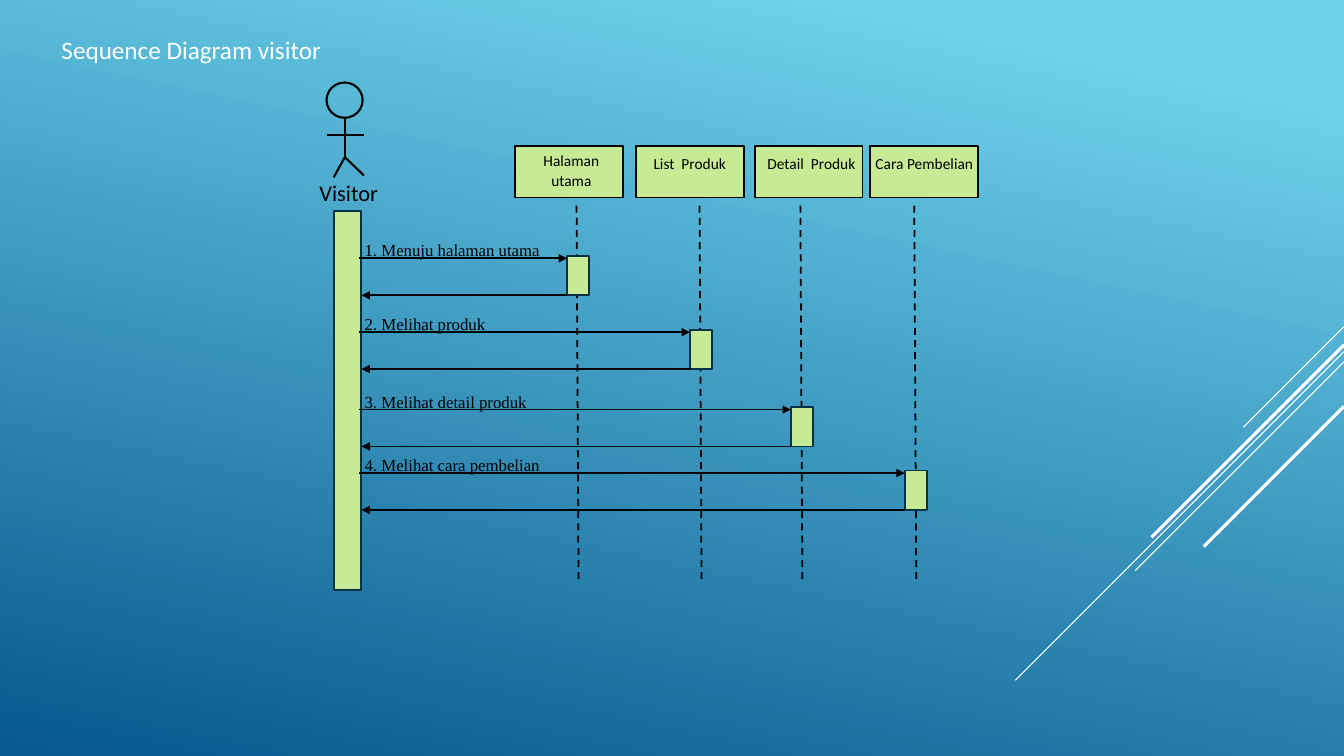
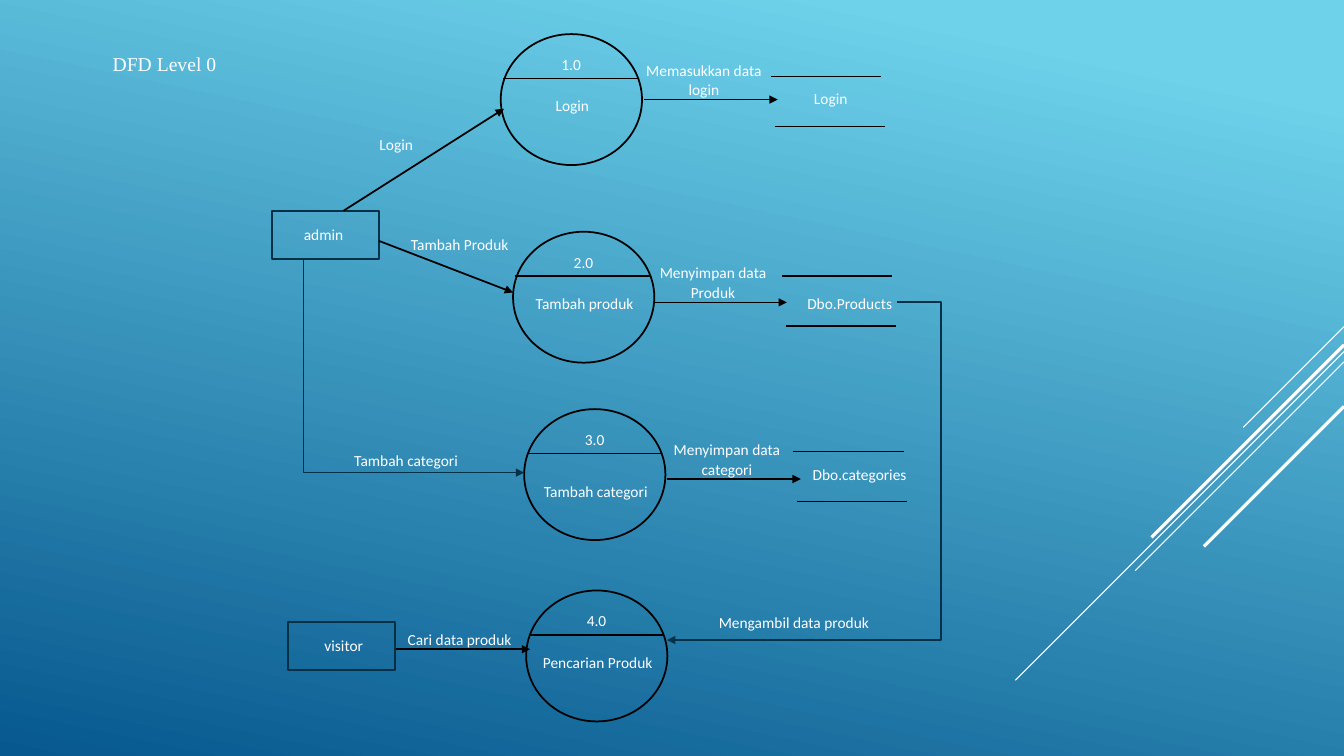
from pptx import Presentation
from pptx.dml.color import RGBColor
from pptx.enum.dml import MSO_LINE
from pptx.enum.shapes import MSO_CONNECTOR, MSO_SHAPE
from pptx.enum.text import PP_ALIGN
from pptx.oxml.ns import qn
from pptx.util import Cm, Pt
from lxml.etree import SubElement

COLORS = {
    "sky": "6ED2EB", "deep": "06588E", "white": "FFFFFF",
    "black": "000000", "navy": "043148", "green": "C7EA94",
}
STRAIGHT = MSO_CONNECTOR.STRAIGHT
RECT, OVAL = MSO_SHAPE.RECTANGLE, MSO_SHAPE.OVAL
SERIF = "Times New Roman"


def style(shape, color="black", width=1.25, fill=None, arrow=False, dashed=False):
    """Set the outline, fill and arrowhead of a shape or connector, without shadow."""
    if hasattr(shape, "fill"):
        if fill:
            shape.fill.solid()
            shape.fill.fore_color.rgb = RGBColor.from_string(COLORS[fill])
        else:
            shape.fill.background()
    shape.line.color.rgb = RGBColor.from_string(COLORS[color])
    shape.line.width = Pt(width)
    if dashed:
        shape.line.dash_style = MSO_LINE.DASH
    properties = shape._element.spPr
    if arrow:
        SubElement(properties.find(qn("a:ln")), qn("a:tailEnd"), type="triangle")
    SubElement(properties, qn("a:effectLst"))


def write(page, text, left, top, width=2.95, height=0.51, size=11, font="Calibri",
          color="white", align=PP_ALIGN.CENTER, inset=0, wrap=True):
    """Add a text box, with its place in centimetres."""
    box = page.shapes.add_textbox(Cm(left), Cm(top), Cm(width), Cm(height))
    frame = box.text_frame
    frame.word_wrap = wrap
    frame.margin_left = frame.margin_right = Cm(inset)
    frame.margin_top = frame.margin_bottom = Cm(inset / 2)
    frame.text = text
    for para in frame.paragraphs:
        para.alignment = align
        para.line_spacing = 1.07
        for span in para.runs:
            span.font.size = Pt(size)
            span.font.name = font
            span.font.color.rgb = RGBColor.from_string(COLORS[color])


deck = Presentation()
deck.slide_width, deck.slide_height = Cm(33.87), Cm(19.05)

# Shared background and diagonal stripes
backdrop = deck.slide_master.background.fill
backdrop.gradient()
backdrop.gradient_angle = 258
for stop, position, name in zip(backdrop.gradient_stops, (0.1, 1), ("sky", "deep")):
    stop.position = position
    stop.color.rgb = RGBColor.from_string(COLORS[name])

# Height at the right edge, length across, line width
stripes = [(8.23, 2.54, 0.75), (8.86, 8.28, 0.75), (9.12, 5.26, 0.75),
           (8.69, 4.85, 2.25), (10.24, 3.53, 2.25)]
pages = [deck.slides.add_slide(deck.slide_layouts[6]) for _ in range(2)]
for page in pages:
    for top, run, width in stripes:
        ends = (33.87, top, 33.87 - run, top + run)
        style(page.shapes.add_connector(STRAIGHT, *map(Cm, ends)), "white", width)
sequence, flow = pages

# Sequence diagram: the visitor
write(sequence, "Sequence Diagram visitor", 1.3, 0.69, 7.14, 1.09, 18,
      align=PP_ALIGN.LEFT, inset=0.25, wrap=False)
head = sequence.shapes.add_shape(OVAL, Cm(8.23), Cm(2.08), Cm(0.91), Cm(0.89))
style(head, width=1.5)
limbs = [(8.69, 2.97, 8.69, 3.96), (8.23, 3.4, 9.17, 3.4),
         (8.69, 3.96, 9.17, 4.42), (8.69, 3.96, 8.41, 4.47)]
for limb in limbs:
    style(sequence.shapes.add_connector(STRAIGHT, *map(Cm, limb)), width=1.5)
write(sequence, "Visitor", 7.8, 4.34, 2.01, 1.68, 16, color="black",
      align=PP_ALIGN.LEFT, inset=0.25, wrap=False)
visitor_bar = sequence.shapes.add_shape(RECT, Cm(8.41), Cm(5.31), Cm(0.69), Cm(9.55))
style(visitor_bar, "navy", fill="green")

# Header left, label, label left, top and width, lifeline, activation top, message
participants = [
    (12.98, "Halaman\nutama", 13.69, 3.78, 1.42, 14.53, 6.45, "1. Menuju halaman utama"),
    (16.03, "List  Produk", 16.46, 3.84, 1.85, 17.63, 8.31, "2. Melihat produk"),
    (19.02, "Detail  Produk", 19.33, 3.84, 2.24, 20.17, 10.26, "3. Melihat detail produk"),
    (21.92, "Cara Pembelian", 22.05, 3.84, 2.49, 23.04, 11.86, "4. Melihat cara pembelian"),
]
for left, label, label_left, label_top, label_width, lifeline, top, message in participants:
    header = sequence.shapes.add_shape(RECT, Cm(left), Cm(3.68), Cm(2.72), Cm(1.3))
    style(header, fill="green")
    write(sequence, label, label_left, label_top, label_width, 1.45, color="black",
          wrap=False)
    ends = (lifeline, 5.18, lifeline + 0.05, 14.63)
    style(sequence.shapes.add_connector(STRAIGHT, *map(Cm, ends)), dashed=True)
    bar_left = lifeline - 0.24
    bar = sequence.shapes.add_shape(RECT, Cm(bar_left), Cm(top), Cm(0.56), Cm(0.99))
    style(bar, "navy", fill="green")
    write(sequence, message, 8.94, top - 0.56, 5.99, 1.09, 12, SERIF, "black",
          PP_ALIGN.LEFT, 0.25)
    call = (9.05, top + 0.06, bar_left, top + 0.06)
    reply = (bar_left, top + 0.99, 9.11, top + 0.99)
    for ends in (call, reply):
        style(sequence.shapes.add_connector(STRAIGHT, *map(Cm, ends)), arrow=True)

# Data flow diagram: processes
write(flow, "DFD Level 0", 2.59, 1.14, 3.15, 0.86, 14, SERIF,
      align=PP_ALIGN.LEFT, inset=0.25, wrap=False)
processes = [
    (12.62, 0.86, "1.0", "Login", 1.54),
    (12.93, 5.84, "2.0", "Tambah produk", 1.54),
    (13.21, 10.31, "3.0", "Tambah categori", 1.81),
    (13.26, 14.88, "4.0", "Pencarian Produk", 1.54),
]
for left, top, number, name, name_drop in processes:
    circle = flow.shapes.add_shape(OVAL, Cm(left), Cm(top), Cm(3.56), Cm(3.3))
    style(circle)
    ends = (left + 0.06, top + 1.12, left + 3.48, top + 1.12)
    style(flow.shapes.add_connector(STRAIGHT, *map(Cm, ends)))
    write(flow, number, left + 0.3, top + 0.5)
    write(flow, name, left + 0.33, top + name_drop)

# Data stores: left, top, name, name left and top, arrow left and top, flow label
stores = [
    (19.43, 1.93, "Login", 19.46, 2.21, 16.23, 2.51, "Memasukkan data login"),
    (19.71, 6.96, "Dbo.Products", 19.94, 7.37, 16.46, 7.62, "Menyimpan data Produk"),
    (19.99, 11.38, "Dbo.categories", 20.19, 11.68, 16.81, 12.07, "Menyimpan data categori"),
]
for left, top, name, name_left, name_top, start, level, label in stores:
    for shift, drop in ((0, 0), (0.09, 1.26)):
        ends = (left + shift, top + drop, left + shift + 2.78, top + drop)
        style(flow.shapes.add_connector(STRAIGHT, *map(Cm, ends)))
    write(flow, name, name_left, name_top)
    write(flow, label, start, level - 1.01, 3.02, 1.83)
    ends = (start, level, start + 3.37, level)
    style(flow.shapes.add_connector(STRAIGHT, *map(Cm, ends)), arrow=True)

# External entities and their flows
entities = [("admin", 6.86, 5.31, 6.68), ("visitor", 7.26, 15.67, 7.19)]
for name, left, top, name_left in entities:
    entity = flow.shapes.add_shape(RECT, Cm(left), Cm(top), Cm(2.69), Cm(1.22))
    style(entity, "navy")
    write(flow, name, name_left, top + 0.32)

arrows = [(8.66, 5.31, 12.7, 2.74), (9.55, 6.07, 12.93, 7.37), (9.98, 16.36, 13.36, 16.36)]
for ends in arrows:
    style(flow.shapes.add_connector(STRAIGHT, *map(Cm, ends)), arrow=True)

elbows = [
    [(7.65, 6.5), (7.65, 11.91), (13.21, 11.91)],
    [(22.61, 7.62), (23.72, 7.62), (23.72, 16.13), (16.81, 16.13)],
]
for elbow in elbows:
    start, *corners = [(Cm(x), Cm(y)) for x, y in elbow]
    builder = flow.shapes.build_freeform(*start)
    builder.add_line_segments(corners, close=False)
    style(builder.convert_to_shape(), "navy", arrow=True)

flow_labels = [
    ("Login", 8.51, 3.38, 2.95), ("Tambah Produk", 10.11, 5.89, 2.95),
    ("Tambah categori", 8.76, 11.33, 2.95), ("Cari data produk", 10.11, 15.85, 2.95),
    ("Mengambil data produk", 17.15, 15.42, 5.72),
]
for label, left, top, width in flow_labels:
    write(flow, label, left, top, width)

deck.save("out.pptx")
